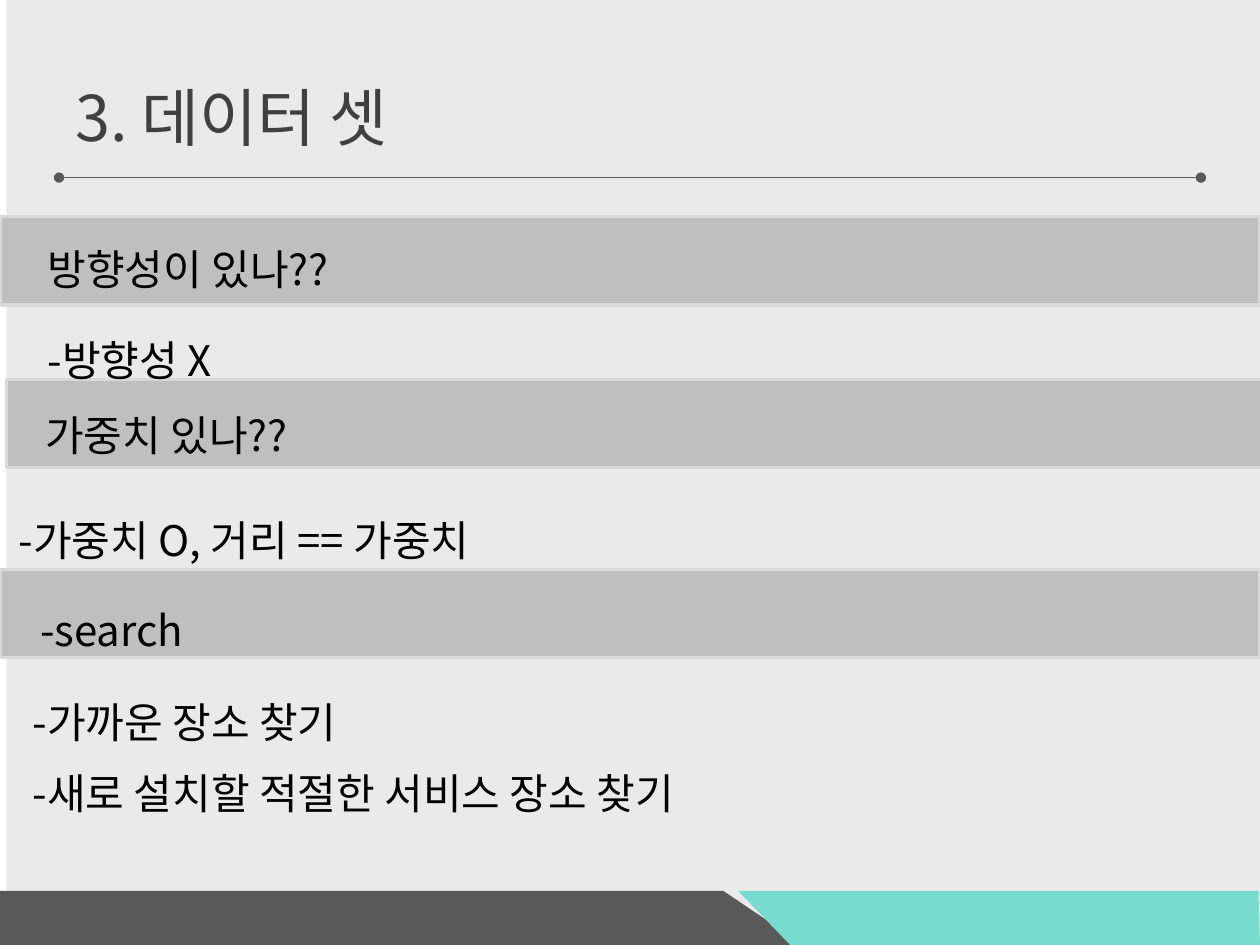
from dataclasses import dataclass

from lxml.etree import SubElement
from pptx import Presentation
from pptx.dml.color import RGBColor as Rgb
from pptx.enum.shapes import MSO_CONNECTOR as Connector, MSO_SHAPE as Shape
from pptx.enum.text import MSO_ANCHOR as Anchor, PP_ALIGN as Align
from pptx.oxml.ns import qn
from pptx.util import Cm, Pt


@dataclass(frozen=True)
class Theme:
    """Colours, font and type sizes of the slide."""
    backdrop: str = "EAEAEA"
    title: str = "404040"
    body: str = "000000"
    dark: str = "595959"
    teal: str = "77DBCF"
    bar: str = "BFBFBF"
    bar_edge: str = "D9D9D9"
    font: str = "Noto Sans CJK KR"
    title_size: int = 36
    body_size: int = 24


THEME = Theme()
WIDTH, HEIGHT = 25.4, 19.05
BAR_HEIGHT = 1.78
SECTIONS = [
    ((0, 4.37), [(0.71, -0.1, "방향성이 있나??"), (0.71, 1.75, "-방향성 X")]),
    ((0.13, 7.65), [(0.53, -0.03, "가중치 있나??"),
                    (0, 2.08, "-가중치 O, 거리 == 가중치")]),
    ((0, 11.48), [(0.56, 0.08, "-search"), (0.41, 1.93, "-가까운 장소 찾기"),
                  (0.41, 3.35, "-새로 설치할 적절한 서비스 장소 찾기")]),
]


def paint(shape, fill, edge=None):
    """Give a shape a flat fill and an optional edge."""
    shape.shadow.inherit = False
    shape.fill.solid()
    shape.fill.fore_color.rgb = Rgb.from_string(fill)
    if edge:
        shape.line.color.rgb = Rgb.from_string(edge)
        shape.line.width = Pt(2)
    else:
        shape.line.fill.background()


def add_rectangle(slide, box, fill, edge=None):
    """Add a painted rectangle."""
    shape = slide.shapes.add_shape(Shape.RECTANGLE, *map(Cm, box))
    paint(shape, fill, edge)


def add_polygon(slide, points, fill):
    """Add a painted closed outline."""
    corners = [(Cm(x), Cm(y)) for x, y in points]
    builder = slide.shapes.build_freeform(*corners[0])
    builder.add_line_segments(corners[1:], close=True)
    paint(builder.convert_to_shape(), fill)


def add_text(slide, box, text, size, color, anchor=Anchor.TOP, spacing=1.0):
    """Add a left-aligned line of text."""
    shape = slide.shapes.add_textbox(*map(Cm, box))
    frame = shape.text_frame
    frame.word_wrap = True
    frame.vertical_anchor = anchor
    paragraph = frame.paragraphs[0]
    paragraph.text = text
    paragraph.alignment = Align.LEFT
    paragraph.line_spacing = spacing
    font = paragraph.font
    font.size, font.name = Pt(size), THEME.font
    font.color.rgb = Rgb.from_string(color)
    properties = paragraph.runs[0].font
    properties.name = THEME.font
    east_asian = SubElement(paragraph.runs[0]._r.get_or_add_rPr(), qn("a:ea"))
    east_asian.set("typeface", THEME.font)


def add_header(slide, box):
    """Place the title and the dotted-end rule below it."""
    left, top, width, height = box
    add_text(slide, box, "3. 데이터 셋", THEME.title_size, THEME.title, Anchor.MIDDLE)
    rule_y = Cm(top + height - 0.36)
    rule = slide.shapes.add_connector(
        Connector.STRAIGHT, Cm(left - 0.08), rule_y, Cm(left + width + 0.08), rule_y)
    rule.line.color.rgb = Rgb.from_string(THEME.dark)
    rule.line.width = Pt(0.75)
    line = rule.line._get_or_add_ln()
    for end in ("a:headEnd", "a:tailEnd"):
        SubElement(line, qn(end)).set("type", "oval")
    SubElement(rule._element.spPr, qn("a:effectLst"))


def add_footer(slide, box):
    """Place the dark and teal slanted strips."""
    left, top, width, height = box
    right, bottom = left + width, top + height
    add_polygon(slide, [(left, top), (left + 14.58, top),
                        (left + 16.2, bottom), (left, bottom)], THEME.dark)
    add_polygon(slide, [(left + 14.88, top), (right - 0.03, top),
                        (right, bottom), (left + 15.93, bottom)], THEME.teal)


def add_section(slide, box, lines):
    """Place a grey bar and its question and answers."""
    left, top, width, height = box
    add_rectangle(slide, box, THEME.bar, THEME.bar_edge)
    for indent, drop, text in lines:
        add_text(slide, (left + indent, top + drop, 21.59, 1.6), text,
                 THEME.body_size, THEME.body, spacing=1.5)


def build():
    """Build and save the slide."""
    presentation = Presentation()
    presentation.slide_width, presentation.slide_height = Cm(WIDTH), Cm(HEIGHT)
    slide = presentation.slides.add_slide(presentation.slide_layouts[6])
    add_rectangle(slide, (0.13, 0, WIDTH - 0.13, HEIGHT), THEME.backdrop)
    add_header(slide, (1.27, 0.76, 22.86, 3.18))
    add_footer(slide, (0, 17.96, WIDTH, 1.09))
    for (left, top), lines in reversed(SECTIONS):
        add_section(slide, (left, top, WIDTH, BAR_HEIGHT), lines)
    presentation.save("out.pptx")


build()
